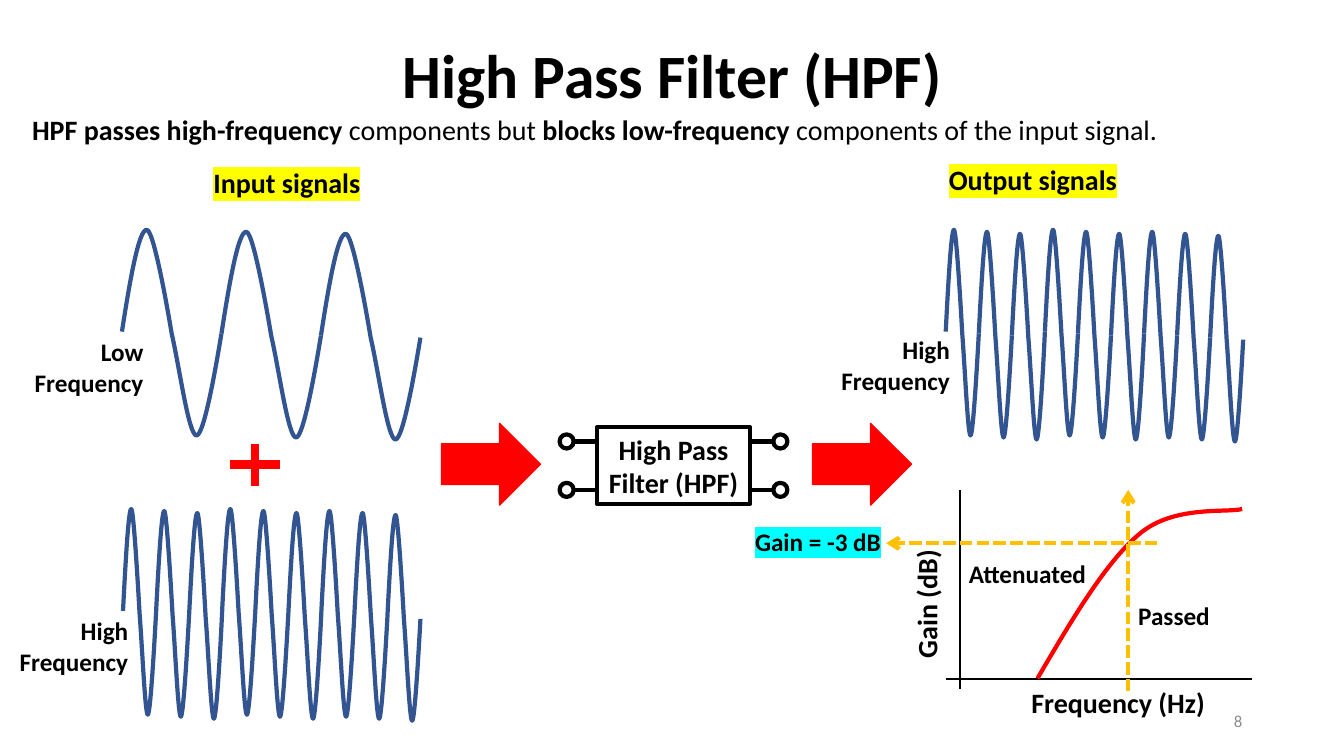
from lxml.etree import SubElement
from pptx import Presentation
from pptx.dml.color import RGBColor
from pptx.enum.dml import MSO_LINE
from pptx.enum.shapes import MSO_CONNECTOR, MSO_SHAPE
from pptx.enum.text import MSO_ANCHOR, PP_ALIGN
from pptx.oxml.ns import qn
from pptx.util import Pt

PX = 9144  # EMU in one px, 100 px to the inch
FONT = "Calibri"
COLORS = {
    "black": "000000", "white": "FFFFFF", "grey": "8C8C8C", "wave": "325491",
    "red": "FF0000", "amber": "FFC000", "yellow": "FFFF00", "cyan": "00FFFF",
}
# One period: start point, then three points for each Bezier segment.
# x is in hundredths of the period, y in px from the axis.
PERIOD = [(0, 0), (8, -51), (17, -102), (25, -101), (33, -101), (50, 2), (50, 2),
          (58, 36), (67, 103), (75, 103), (83, 103), (96, 26)]
LOW_STARTS = [0, 2, 4]
HIGH_STARTS = [0, 2, 4, 0, 2, 4, 2, 4, 6]


def emu(*lengths):
    return [round(n * PX) for n in lengths]


def rgb(color):
    return RGBColor.from_string(COLORS[color])


def write(sp, *paragraphs, size=20, bold=True, color="black", align=PP_ALIGN.LEFT,
          anchor=MSO_ANCHOR.TOP, spacing=None, highlight=None):
    """Each paragraph is a string or a list of (text, bold) runs."""
    tf = sp.text_frame
    tf.word_wrap = True
    tf.vertical_anchor = anchor
    for i, runs in enumerate(paragraphs):
        p = tf.add_paragraph() if i else tf.paragraphs[0]
        p.alignment = align
        p.line_spacing = spacing
        for text, is_bold in [(runs, bold)] if isinstance(runs, str) else runs:
            r = p.add_run()
            r.text = text
            r.font.name, r.font.size, r.font.bold = FONT, Pt(size), is_bold
            r.font.color.rgb = rgb(color)
            if highlight:
                rPr = r.font._element
                mark = SubElement(rPr, qn("a:highlight"))
                SubElement(mark, qn("a:srgbClr")).set("val", COLORS[highlight])
                rPr.find(qn("a:solidFill")).addnext(mark)


def add_text(shapes, x, y, w, h, *paragraphs, rotation=0, **style):
    sp = shapes.add_textbox(*emu(x, y, w, h))
    sp.rotation = rotation
    write(sp, *paragraphs, **style)


def add_block(shapes, kind, x, y, w, h, fill, line, width):
    sp = shapes.add_shape(kind, *emu(x, y, w, h))
    sp.shadow.inherit = False
    sp.fill.solid()
    sp.fill.fore_color.rgb = rgb(fill)
    sp.line.color.rgb = rgb(line)
    sp.line.width = Pt(width)
    return sp


def add_line(shapes, x1, y1, x2, y2, color="black", width=3.0, dashed_arrow=False):
    line = shapes.add_connector(MSO_CONNECTOR.STRAIGHT, *emu(x1, y1, x2, y2))
    line.line.color.rgb = rgb(color)
    line.line.width = Pt(width)
    if dashed_arrow:
        line.line.dash_style = MSO_LINE.SQUARE_DOT
        SubElement(line.line._get_or_add_ln(), qn("a:tailEnd")).set("type", "arrow")
    SubElement(line._element.spPr, qn("a:effectLst"))


def add_curve(shapes, points, color):
    """Draw a Bezier curve from a start point and three points per segment."""
    start, *rest = [emu(*point) for point in points]
    builder = shapes.build_freeform(*start)
    builder.add_line_segments(rest, close=False)
    sp = builder.convert_to_shape()
    sp.shadow.inherit = False
    sp.fill.background()
    sp.line.color.rgb = rgb(color)
    sp.line.width = Pt(3)
    outline = next(sp._element.iter(qn("a:path")))
    steps = outline.findall(qn("a:lnTo"))
    for i in range(0, len(steps), 3):
        curve = SubElement(outline, qn("a:cubicBezTo"))
        for step in steps[i:i + 3]:
            curve.append(step[0])
            outline.remove(step)


def add_wave(s, x, axis, w, starts):
    shapes = s.shapes.add_group_shape().shapes
    period = w / len(starts)
    ends = starts[1:] + [starts[-1] + 2]
    for i, (start, end) in enumerate(zip(starts, ends)):
        left, top = x + i * period, axis + start
        points = [(left + dx * period / 100, top + dy) for dx, dy in PERIOD]
        add_curve(shapes, points + [(left + period, axis + end)], "wave")


def add_heading(s, x, y, w, h):
    add_text(s.shapes, x + 70, y, 1150, 145, "High Pass Filter (HPF)",
             size=44, align=PP_ALIGN.CENTER, spacing=0.9)
    add_text(s.shapes, x, y + h - 44, w, 44, [
        ("HPF passes high-frequency", True), (" components but ", False),
        ("blocks low-frequency", True),
        (" components of the input signal.", False)])


def add_signal_title(s, x, y, text):
    add_text(s.shapes, x, y, 259, 44, text, align=PP_ALIGN.CENTER, highlight="yellow")


def add_wave_label(s, x, y, level):
    add_text(s.shapes, x, y, 128, 71, level, "Frequency", size=18, align=PP_ALIGN.RIGHT)


def add_inputs(s, x, y, w):
    add_signal_title(s, x + 34, y, "Input signals")
    add_wave(s, x, y + 170, w, LOW_STARTS)
    add_wave(s, x + 1, y + 447, w - 1, HIGH_STARTS)
    add_wave_label(s, x - 97, y + 170, "Low")
    add_wave_label(s, x - 112, y + 447, "High")
    plus_x, plus_y = x + 132, y + 302
    add_line(s.shapes, plus_x - 25, plus_y, plus_x + 25, plus_y, "red", 6)
    add_line(s.shapes, plus_x, plus_y + 21, plus_x, plus_y - 21, "red", 6)


def add_output(s, x, y, w):
    add_signal_title(s, x - 43, y, "Output signals")
    add_wave(s, x, y + 173, w, HIGH_STARTS)
    add_wave_label(s, x - 114, y + 171, "High")


def add_filter(s, x, y, w, h):
    shapes = s.shapes.add_group_shape().shapes
    body = add_block(shapes, MSO_SHAPE.RECTANGLE, x, y, w, h, "white", "black", 3)
    write(body, "High Pass Filter (HPF)", align=PP_ALIGN.CENTER, anchor=MSO_ANCHOR.MIDDLE)
    ring = 14
    for side, lead in ((x, -23), (x + w, 23)):
        for lead_y in (y + 14, y + 62):
            add_line(shapes, side, lead_y, side + lead, lead_y)
            ring_x = side + lead - (ring if lead < 0 else 0)
            add_block(shapes, MSO_SHAPE.OVAL, ring_x, lead_y - ring / 2, ring, ring,
                      "white", "black", 3)


def add_flow_arrow(s, x, y):
    add_block(s.shapes, MSO_SHAPE.RIGHT_ARROW, x, y, 98, 81, "red", "red", 1)


def add_response(s, x, y, w, h):
    """Gain against frequency, with the cutoff marked."""
    shapes = s.shapes.add_group_shape().shapes
    add_line(shapes, x + 14, y, x + 14, y + h, width=1.5)
    add_line(shapes, x + w, y + h - 10, x, y + h - 10, width=1.5)
    add_text(shapes, x + 69, y + 189, 204, 44, "Frequency (Hz)", align=PP_ALIGN.CENTER)
    add_text(shapes, x - 92, y + 82, 146, 44, "Gain (dB)", rotation=270)
    curve = [(91, 187), (125, 129), (159, 71), (193, 43), (227, 15), (279, 23), (294, 19)]
    add_curve(shapes, [(x + dx, y + dy) for dx, dy in curve], "red")
    add_text(shapes, x + 181, y + 105, 100, 40, "Passed", size=18)
    cut_x, cut_y = x + 181, y + 53
    add_line(s.shapes, cut_x, y + h + 2, cut_x, y, "amber", dashed_arrow=True)
    add_line(s.shapes, cut_x + 29, cut_y, x - 59, cut_y, "amber", dashed_arrow=True)
    add_text(s.shapes, x - 199, y + 31, 176, 40, "Gain = -3 dB", size=18, highlight="cyan")
    add_text(s.shapes, x + 13, y + 63, 145, 40, "Attenuated", size=18)


def main():
    prs = Presentation()
    prs.slide_width, prs.slide_height = emu(1333, 750)
    s = prs.slides.add_slide(prs.slide_layouts[6])
    add_heading(s, 22, 40, 1290, 111)
    add_inputs(s, 121, 159, 296)
    add_flow_arrow(s, 438, 420)
    add_filter(s, 592, 424, 152, 76)
    add_flow_arrow(s, 806, 420)
    add_output(s, 938, 156, 295)
    add_response(s, 938, 486, 304, 198)
    add_text(s.shapes, 942, 695, 300, 40, "8", size=12, bold=False, color="grey",
             align=PP_ALIGN.RIGHT, anchor=MSO_ANCHOR.MIDDLE)
    prs.save("out.pptx")


if __name__ == "__main__":
    main()
